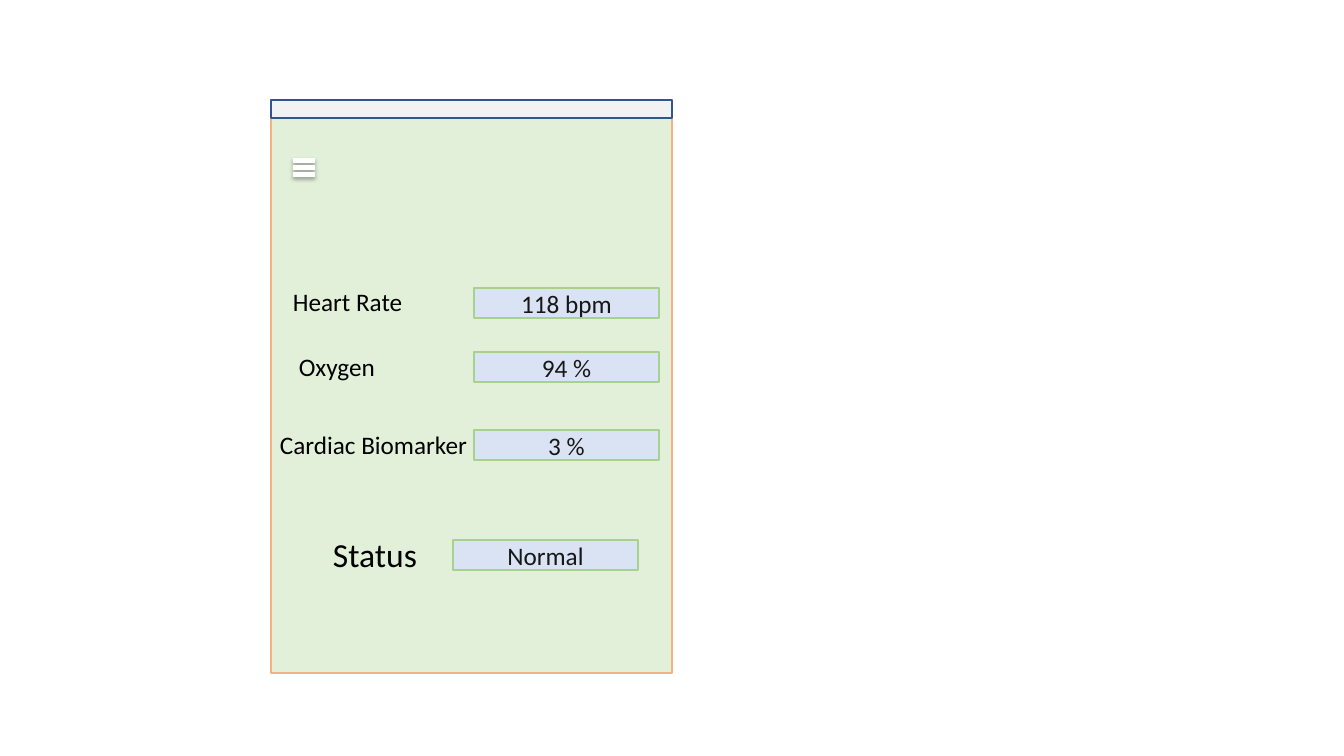
from typing import NamedTuple

import pptx
import pptx.dml.color
import pptx.enum.shapes
import pptx.enum.text
import pptx.shapes.autoshape
import pptx.slide
import pptx.text.text
import pptx.util

EMU_PER_PX = 914400 / 100.8
SHAPE = pptx.enum.shapes.MSO_SHAPE
FONT = "Calibri"
VALUE_W, VALUE_H = 185, 30
MENU_BARS, MENU_STEP = 3, 7


class Box(NamedTuple):
    x: int
    y: int
    w: int
    h: int


class Reading(NamedTuple):
    label: str
    label_box: Box
    size: int
    value: str
    value_x: int
    value_y: int


PANEL = Box(271, 100, 401, 573)
HEADER = Box(271, 100, 401, 18)
MENU = Box(289, 150, 30, 21)
READINGS = [
    Reading("Heart Rate", Box(283, 281, 145, 40), 18, "118 bpm", 474, 288),
    Reading("Oxygen", Box(289, 346, 145, 40), 18, "94 %", 474, 352),
    Reading("Cardiac Biomarker", Box(270, 424, 216, 72), 18, "3 %", 474, 430),
    Reading("Status", Box(323, 529, 130, 82), 24, "Normal", 453, 540),
]


def px(n: int) -> pptx.util.Emu:
    return pptx.util.Emu(round(n * EMU_PER_PX))


def rgb(color: str) -> pptx.dml.color.RGBColor:
    return pptx.dml.color.RGBColor.from_string(color)


def add_rect(s: pptx.slide.Slide, box: Box, fill: str, line: str) -> pptx.shapes.autoshape.Shape:
    sp = s.shapes.add_shape(SHAPE.RECTANGLE, *map(px, box))
    sp.shadow.inherit = False
    sp.fill.solid()
    sp.fill.fore_color.rgb = rgb(fill)
    sp.line.color.rgb = rgb(line)
    sp.line.width = pptx.util.Pt(1)
    return sp


def write(tf: pptx.text.text.TextFrame, text: str, size: int, color: str) -> None:
    tf.word_wrap = True
    tf.text = text
    p = tf.paragraphs[0]
    p.font.name = FONT
    p.font.size = pptx.util.Pt(size)
    p.font.color.rgb = rgb(color)


def add_menu_icon(s: pptx.slide.Slide) -> None:
    """Stack the white bars, which keep the theme's soft shadow."""
    for i in range(MENU_BARS):
        bar = MENU._replace(y=MENU.y + i * MENU_STEP)
        sp = s.shapes.add_shape(SHAPE.MATH_MINUS, *map(px, bar))
        sp.fill.solid()
        sp.fill.fore_color.rgb = rgb("FFFFFF")
        sp.line.fill.background()


def add_reading(s: pptx.slide.Slide, reading: Reading) -> None:
    label = s.shapes.add_textbox(*map(px, reading.label_box))
    write(label.text_frame, reading.label, reading.size, "000000")

    box = Box(reading.value_x, reading.value_y, VALUE_W, VALUE_H)
    tf = add_rect(s, box, "DAE3F3", "A9D18E").text_frame
    write(tf, reading.value, 18, "181717")
    tf.vertical_anchor = pptx.enum.text.MSO_ANCHOR.MIDDLE
    tf.paragraphs[0].alignment = pptx.enum.text.PP_ALIGN.CENTER


def main() -> None:
    prs = pptx.Presentation()
    prs.slide_width, prs.slide_height = px(1344), px(756)
    s = prs.slides.add_slide(prs.slide_layouts[6])
    add_rect(s, PANEL, "E2F0D9", "F4B183")
    add_rect(s, HEADER, "F2F2F2", "325491")
    add_menu_icon(s)
    for reading in READINGS:
        add_reading(s, reading)
    prs.save("out.pptx")


if __name__ == "__main__":
    main()
